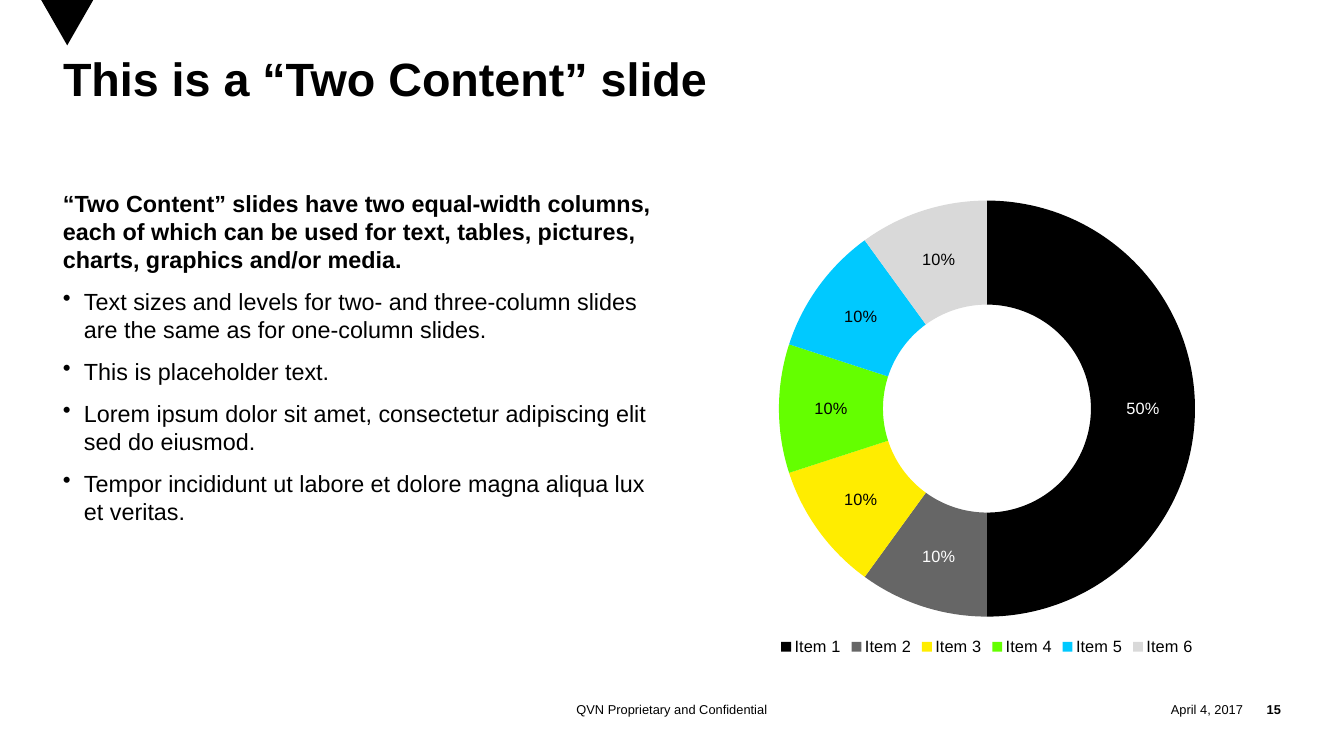
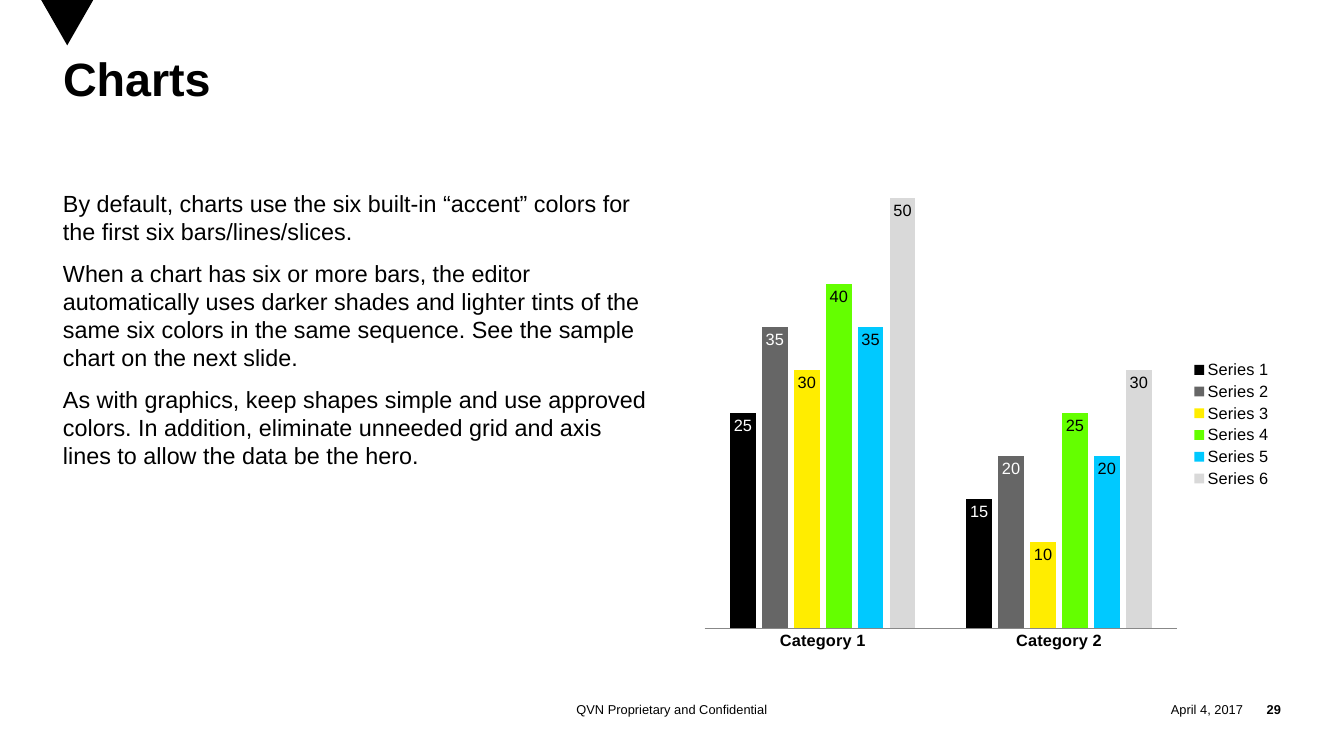
"""Builds two content slides, each with text on the left and a chart on the right."""
from pptx import Presentation
from pptx import util as u
from pptx.chart.data import CategoryChartData
from pptx.dml.color import RGBColor
from pptx.enum import chart as ce, text as te
from pptx.oxml.ns import qn
from lxml import etree

PX = 9144
FONT = "Arial"
BLACK, WHITE, GREY = "000000", "FFFFFF", "888888"
HUES = [BLACK, "666666", "FFED00", "64FF00", "00C9FF", "D9D9D9"]
DARK = HUES[:2]
LEFT, WIDE, TOP, HIGH = 75, 700, 225, 560
RIGHT = 825


def px(*nums):
    return [u.Emu(n * PX) for n in nums]


def rgb(hue):
    return RGBColor.from_string(hue)


def style(font, size, bold=False, hue=BLACK):
    font.name, font.size, font.bold = FONT, u.Pt(size), bold
    font.color.rgb = rgb(hue)


def paint(part, hue):
    part.format.fill.solid()
    part.format.fill.fore_color.rgb = rgb(hue)
    part.format.line.fill.background()


def clear(frame, anchor):
    frame.margin_left = frame.margin_right = 0
    frame.margin_top = frame.margin_bottom = 0
    frame.word_wrap = True
    frame.auto_size = te.MSO_AUTO_SIZE.NONE
    frame.vertical_anchor = anchor


def label(slide, words, left, width, align, bold=False):
    frame = slide.shapes.add_textbox(*px(left, 829, width, 30)).text_frame
    clear(frame, te.MSO_ANCHOR.MIDDLE)
    para = frame.paragraphs[0]
    para.text, para.alignment = words, align
    style(para.font, 11, bold)


def wedge(slide):
    pen = slide.shapes.build_freeform(49, 0, scale=PX)
    pen.add_line_segments([(80, 54), (111, 0)], close=True)
    shape = pen.convert_to_shape()
    shape.shadow.inherit = False
    shape.fill.solid()
    shape.fill.fore_color.rgb = rgb(BLACK)
    shape.line.fill.background()


def start(deck, head, number):
    slide = deck.slides.add_slide(deck.slide_layouts[5])
    wedge(slide)
    label(slide, "April 4, 2017", 1301, 179, te.PP_ALIGN.RIGHT)
    label(slide, number, 1480, 45, te.PP_ALIGN.RIGHT, True)
    label(slide, "QVN Proprietary and Confidential", 525, 550, te.PP_ALIGN.CENTER)
    title = slide.shapes.title
    title.left, title.top, title.width, title.height = px(LEFT, 70, 1450, 155)
    clear(title.text_frame, te.MSO_ANCHOR.TOP)
    para = title.text_frame.paragraphs[0]
    para.text, para.alignment, para.line_spacing = head, te.PP_ALIGN.LEFT, 0.85
    style(para.font, 40, True)
    return slide


def bullet(para):
    props = para._p.get_or_add_pPr()
    props.set("marL", str(25 * PX))
    props.set("indent", str(-25 * PX))
    etree.SubElement(props, qn("a:buChar")).set("char", "•")


def body(slide, plain, items=(), bold=False):
    frame = slide.shapes.add_textbox(*px(LEFT, TOP, WIDE, HIGH)).text_frame
    clear(frame, te.MSO_ANCHOR.TOP)
    for i, words in enumerate([*plain, *items]):
        para = frame.add_paragraph() if i else frame.paragraphs[0]
        para.text = words
        para.line_spacing = u.Pt(24)
        para.space_before = u.Pt(12 if i else 0)
        listed = i >= len(plain)
        style(para.font, 20, bold and not listed)
        if listed:
            bullet(para)


def graph(slide, kind, cats, rows, spot, form="General"):
    data = CategoryChartData(number_format=form)
    data.categories = cats
    for i, vals in enumerate(rows, 1):
        data.add_series(f"Series {i}", vals)
    chart = slide.shapes.add_chart(kind, *px(RIGHT, TOP, WIDE, HIGH), data).chart
    style(chart.font, 14)
    chart.has_title = False
    chart.has_legend = True
    chart.legend.position = spot
    chart.legend.include_in_layout = False
    return chart


def values(series, form, hue=BLACK):
    tags = series.data_labels
    tags.show_value, tags.show_percentage = True, False
    tags.number_format, tags.number_format_is_linked = form, False
    style(tags.font, 14, hue=hue)
    return tags


def ring(slide):
    cats = [f"Item {i}" for i in range(1, 7)]
    chart = graph(slide, ce.XL_CHART_TYPE.DOUGHNUT, cats, [[0.5] + [0.1] * 5],
                  ce.XL_LEGEND_POSITION.BOTTOM, "0%")
    plot = chart.plots[0]
    plot.has_data_labels = False
    series = plot.series[0]
    values(series, "0%")
    for i, hue in enumerate(HUES):
        point = series.points[i]
        paint(point, hue)
        if hue in DARK:
            style(point.data_label.font, 14, hue=WHITE)


def bars(slide):
    rows = [(25, 15), (35, 20), (30, 10), (40, 25), (35, 20), (50, 30)]
    chart = graph(slide, ce.XL_CHART_TYPE.COLUMN_CLUSTERED,
                  ["Category 1", "Category 2"], rows, ce.XL_LEGEND_POSITION.RIGHT)
    plot = chart.plots[0]
    plot.gap_width, plot.overlap, plot.vary_by_categories = 200, -25, False
    for series, hue in zip(plot.series, HUES):
        paint(series, hue)
        tags = values(series, "General", WHITE if hue in DARK else BLACK)
        tags.position = ce.XL_LABEL_POSITION.INSIDE_END
    scale = chart.value_axis
    scale.visible = scale.has_major_gridlines = False
    scale.minimum_scale, scale.maximum_scale = 0, 50
    base = chart.category_axis
    base.major_tick_mark = ce.XL_TICK_MARK.NONE
    base.format.line.color.rgb = rgb(GREY)
    style(base.tick_labels.font, 14, True)


def main():
    deck = Presentation()
    deck.slide_width, deck.slide_height = px(1600, 900)

    slide = start(deck, "This is a “Two Content” slide", "15")
    body(slide, [
        "“Two Content” slides have two equal-width columns, each of which can be "
        "used for text, tables, pictures, charts, graphics and/or media.",
    ], [
        "Text sizes and levels for two- and three-column slides are the same as "
        "for one-column slides.",
        "This is placeholder text.",
        "Lorem ipsum dolor sit amet, consectetur adipiscing elit sed do eiusmod.",
        "Tempor incididunt ut labore et dolore magna aliqua lux et veritas.",
    ], bold=True)
    ring(slide)

    slide = start(deck, "Charts", "29")
    body(slide, [
        "By default, charts use the six built-in “accent” colors for the first "
        "six bars/lines/slices.",
        "When a chart has six or more bars, the editor automatically uses darker "
        "shades and lighter tints of the same six colors in the same sequence. "
        "See the sample chart on the next slide.",
        "As with graphics, keep shapes simple and use approved colors. In "
        "addition, eliminate unneeded grid and axis lines to allow the data be "
        "the hero.",
    ])
    bars(slide)
    deck.save("out.pptx")


if __name__ == "__main__":
    main()
